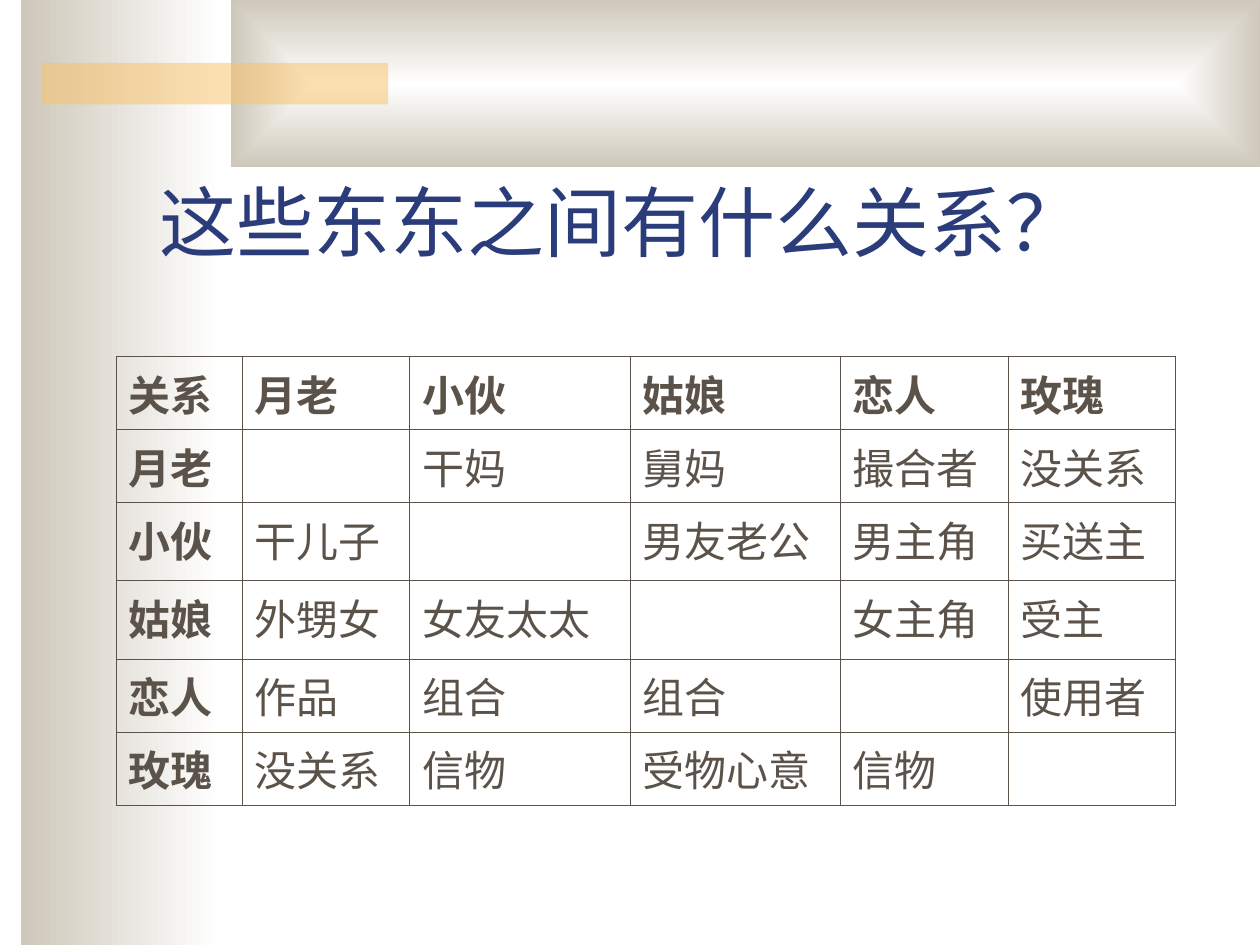
from lxml import etree
from pptx import Presentation
from pptx.dml.color import RGBColor
from pptx.enum.shapes import MSO_SHAPE
from pptx.enum.text import MSO_ANCHOR
from pptx.oxml import parse_xml
from pptx.oxml.ns import nsdecls, qn
from pptx.util import Inches, Pt

BROWN, BLUE, GOLD = "5B5249", "2A3D7A", "FAC164"
FONT = "Times New Roman"


def color(hex_string):
    return RGBColor.from_string(hex_string)


def style_run(run, size, hex_string, bold=False):
    run.font.name = FONT
    run.font.size = Pt(size)
    run.font.bold = bold
    run.font.color.rgb = color(hex_string)


presentation = Presentation()
presentation.slide_width = Inches(10)
presentation.slide_height = Inches(7.5)
slide = presentation.slides.add_slide(presentation.slide_layouts[6])

# Background panels and accent bar
panels = []
for box in [(0.17, 0, 1.58, 7.5), (1.83, 0, 8.17, 1.33), (0.33, 0.5, 2.75, 0.33)]:
    panel = slide.shapes.add_shape(MSO_SHAPE.RECTANGLE, *map(Inches, box))
    panel.shadow.inherit = False
    panel.line.fill.background()
    panels.append(panel)
side_panel, top_panel, accent_bar = panels

for panel in (side_panel, top_panel):
    panel.fill.gradient()
    for stop, hex_string in zip(panel.fill.gradient_stops, ("FFFFFF", "CEC8BA")):
        stop.color.rgb = color(hex_string)
    for position, stop in enumerate(panel.fill.gradient_stops):
        stop.position = position
side_panel.fill.gradient_angle = 180

linear = top_panel._element.spPr.find(".//" + qn("a:lin"))
linear.getparent().replace(linear, parse_xml(
    f'<a:path {nsdecls("a")} path="rect">'
    '<a:fillToRect l="50000" t="50000" r="50000" b="50000"/></a:path>'))

accent_bar.fill.solid()
accent_bar.fill.fore_color.rgb = color(GOLD)
accent_color = accent_bar._element.spPr.find(".//" + qn("a:srgbClr"))
etree.SubElement(accent_color, qn("a:alpha")).set("val", "50000")

# Title
title = slide.shapes.add_textbox(Inches(1.17), Inches(0.92), Inches(8.5), Inches(1.25))
title_frame = title.text_frame
title_frame.word_wrap = True
title_frame.vertical_anchor = MSO_ANCHOR.BOTTOM
title_frame.text = "这些东东之间有什么关系？"
style_run(title_frame.paragraphs[0].runs[0], 44, BLUE)

# Relationship table
relations = [
    ["关系", "月老", "小伙", "姑娘", "恋人", "玫瑰"],
    ["月老", "", "干妈", "舅妈", "撮合者", "没关系"],
    ["小伙", "干儿子", "", "男友老公", "男主角", "买送主"],
    ["姑娘", "外甥女", "女友太太", "", "女主角", "受主"],
    ["恋人", "作品", "组合", "组合", "", "使用者"],
    ["玫瑰", "没关系", "信物", "受物心意", "信物", ""],
]
column_widths = [1, 1.33, 1.75, 1.67, 1.33, 1.33]
row_heights = [0.58, 0.58, 0.62, 0.62, 0.58, 0.58]

table = slide.shapes.add_table(
    len(row_heights), len(column_widths), Inches(0.92), Inches(2.83),
    Inches(sum(column_widths)), Inches(sum(row_heights))).table
table.first_row = table.horz_banding = False
for column, width in zip(table.columns, column_widths):
    column.width = Inches(width)
for row, height in zip(table.rows, row_heights):
    row.height = Inches(height)

for row_index, row_texts in enumerate(relations):
    for column_index, text in enumerate(row_texts):
        cell = table.cell(row_index, column_index)
        cell.fill.background()
        properties = cell._tc.get_or_add_tcPr()
        for index, side in enumerate(("lnL", "lnR", "lnT", "lnB")):
            properties.insert(index, parse_xml(
                f'<a:{side} {nsdecls("a")} w="{Pt(0.45)}"><a:solidFill>'
                f'<a:srgbClr val="{BROWN}"/></a:solidFill></a:{side}>'))
        if text:
            cell.text_frame.text = text
            is_header = row_index == 0 or column_index == 0
            style_run(cell.text_frame.paragraphs[0].runs[0], 24, BROWN, is_header)

presentation.save("out.pptx")
